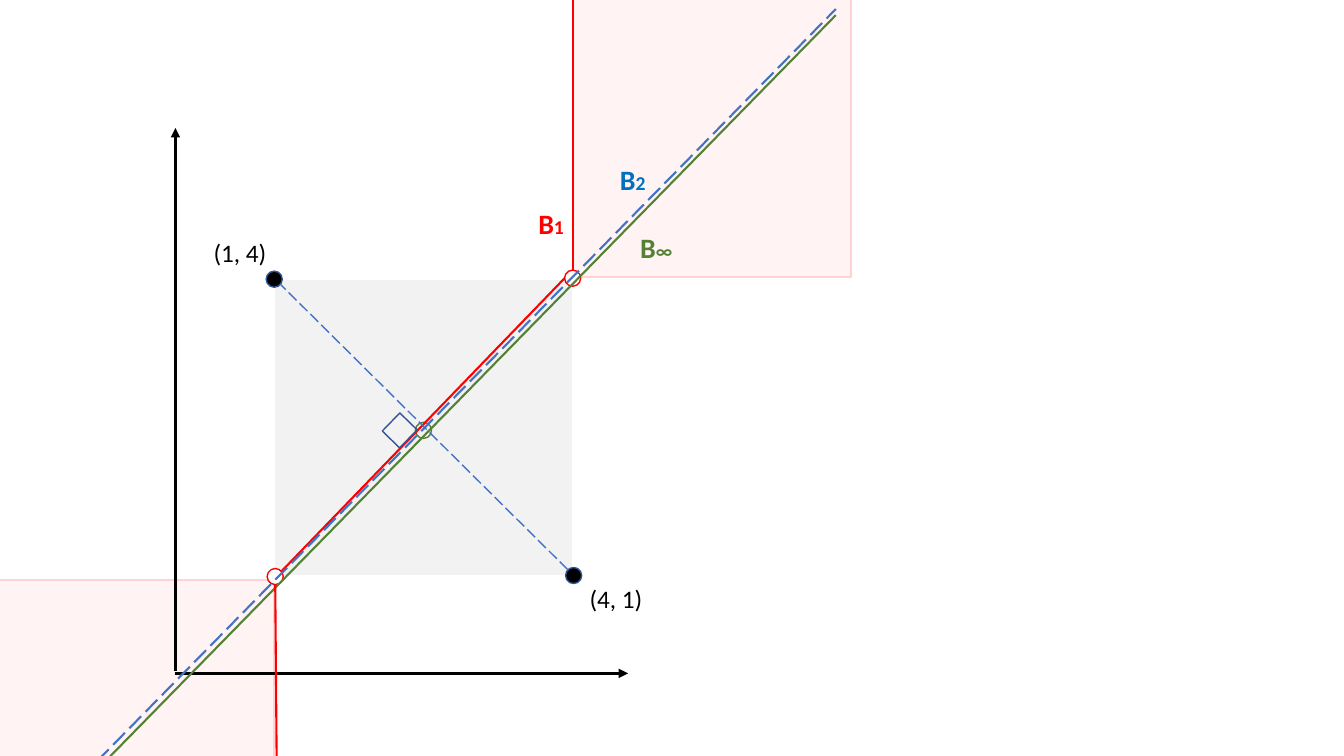
"""Build a slide comparing the bisectors of two points under three norms."""
from lxml import etree
from pptx import Presentation
from pptx.dml.color import RGBColor
from pptx.enum import dml, shapes, text
from pptx.oxml.ns import qn
from pptx.util import Inches, Pt

BLACK, WHITE, RED, GREEN = "000000", "FFFFFF", "FF0000", "548235"
BLUE, NAVY, SKY = "4472C4", "325491", "0070C0"
PINK, ROSE, GREY = "FFF3F3", "FFD3D3", "F2F2F2"
DOT = 0.16

REGIONS = [
    (5.68, -0.02, 2.76, 2.77, PINK, ROSE, 1.5),
    (-0.04, 5.75, 2.76, 2.77, PINK, ROSE, 1.5),
    (2.73, 2.78, 2.94, 2.92, GREY, GREY, 1),
]
AXES = [
    (1.74, 6.66, 1.74, 1.27),
    (1.74, 6.68, 6.23, 6.68),
]
DOTS = [
    (5.61, 5.63, BLACK, NAVY),
    (2.64, 2.69, BLACK, NAVY),
    (5.6, 2.68, WHITE, RED),
    (2.65, 5.64, WHITE, RED),
    (4.12, 4.19, None, GREEN),
]
BISECTORS = [
    (5.6, 2.76, 2.79, 5.67, RED, 1.5, False),
    (5.68, -0.03, 5.68, 2.68, RED, 1.5, False),
    (0.93, 7.67, 8.29, 0.15, GREEN, 1.5, False),
    (5.63, 5.65, 2.78, 2.82, BLUE, 1, True),
    (0.64, 7.88, 8.29, 0.09, BLUE, 1.5, True),
    (2.73, 5.8, 2.75, 8.32, RED, 1.5, False),
]
RIGHT_ANGLE = (3.84, 4.15, 0.25, 0.24, None, NAVY, 1)
LABELS = [
    (5.75, 5.74, 0.94, 0.4, BLACK, False, [("(4, 1)", 18)]),
    (2.02, 2.31, 0.94, 0.4, BLACK, False, [("(1, 4)", 18)]),
    (5.24, 2, 0.62, 0.44, RED, True, [("B", 20), ("1", 14)]),
    (6.25, 2.24, 0.62, 0.44, GREEN, True, [("B", 20), ("∞", 14)]),
    (6.05, 1.56, 0.62, 0.44, SKY, True, [("B", 20), ("2", 14)]),
]


def rgb(value):
    return RGBColor.from_string(value)


def add_shape(s, kind, x, y, w, h, fill, line, width):
    sp = s.shapes.add_shape(kind, *map(Inches, (x, y, w, h)))
    sp.shadow.inherit = False
    if fill:
        sp.fill.solid()
        sp.fill.fore_color.rgb = rgb(fill)
    else:
        sp.fill.background()
    sp.line.color.rgb = rgb(line)
    sp.line.width = Pt(width)
    return sp


def add_line(s, x1, y1, x2, y2, color, width, dashed=False, arrow=False):
    sp = s.shapes.add_connector(shapes.MSO_CONNECTOR.STRAIGHT,
                                *map(Inches, (x1, y1, x2, y2)))
    sp.line.color.rgb = rgb(color)
    sp.line.width = Pt(width)
    if dashed:
        sp.line.dash_style = dml.MSO_LINE.LONG_DASH
    if arrow:
        etree.SubElement(sp.line._get_or_add_ln(), qn("a:tailEnd"), type="triangle")
    etree.SubElement(sp._element.spPr, qn("a:effectLst"))


def add_label(s, x, y, w, h, color, bold, runs):
    tf = s.shapes.add_textbox(*map(Inches, (x, y, w, h))).text_frame
    tf.word_wrap = True
    tf.auto_size = text.MSO_AUTO_SIZE.SHAPE_TO_FIT_TEXT
    p = tf.paragraphs[0]
    for content, size in runs:
        r = p.add_run()
        r.text = content
        r.font.name = "Calibri"
        r.font.size = Pt(size)
        r.font.bold = bold
        r.font.color.rgb = rgb(color)


def main():
    prs = Presentation()
    prs.slide_width, prs.slide_height = Inches(13.33), Inches(7.5)
    s = prs.slides.add_slide(prs.slide_layouts[6])
    rect, oval = shapes.MSO_SHAPE.RECTANGLE, shapes.MSO_SHAPE.OVAL
    for region in REGIONS:
        add_shape(s, rect, *region)
    for axis in AXES:
        add_line(s, *axis, BLACK, 2.25, arrow=True)
    for x, y, fill, line in DOTS:
        add_shape(s, oval, x, y, DOT, DOT, fill, line, 1)
    for bisector in BISECTORS:
        add_line(s, *bisector)
    add_shape(s, rect, *RIGHT_ANGLE).rotation = 314.2
    for label in LABELS:
        add_label(s, *label)
    prs.save("out.pptx")


if __name__ == "__main__":
    main()
